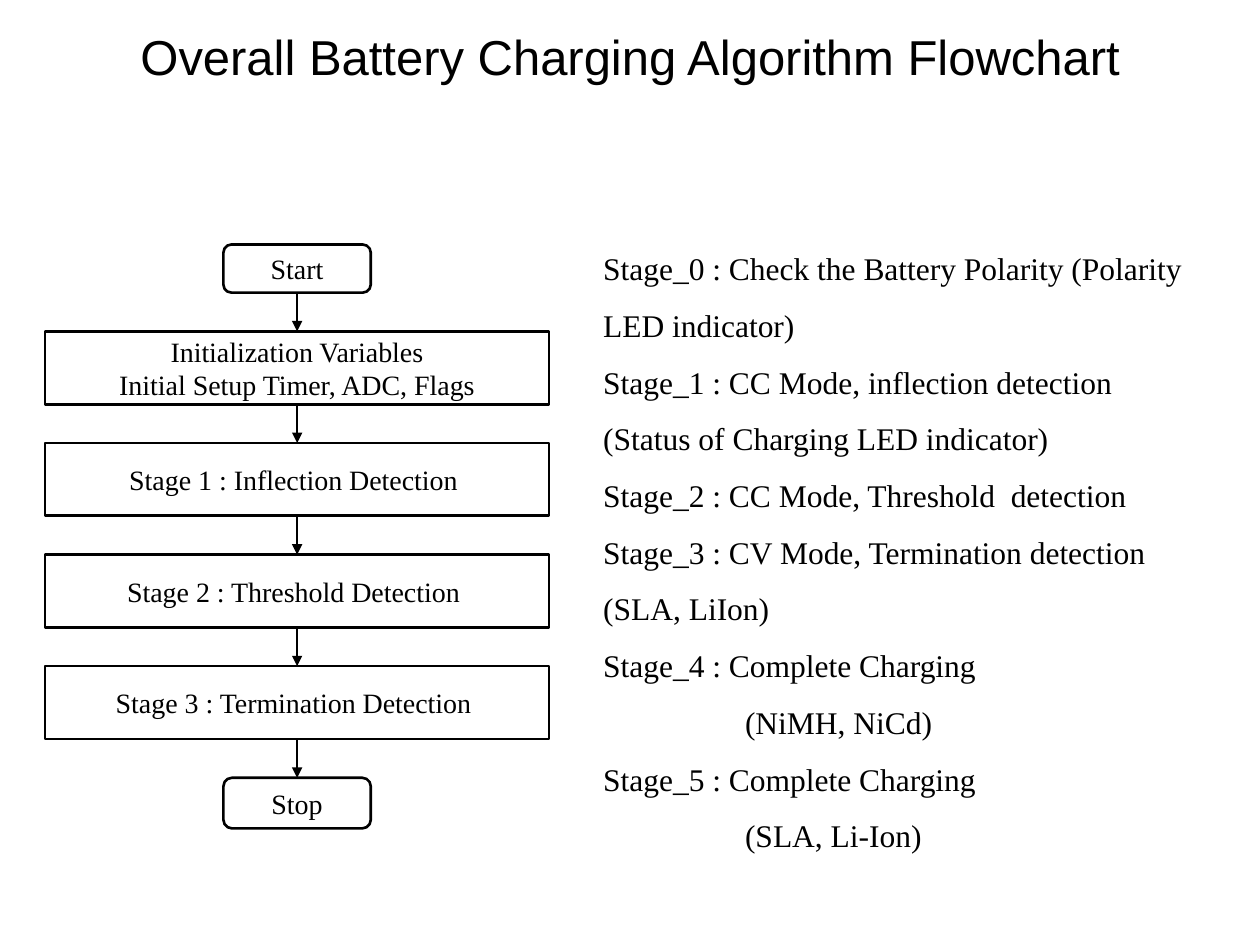
from dataclasses import dataclass
from itertools import pairwise
from typing import Any

from lxml import etree
from pptx import Presentation
from pptx import util as u
from pptx.dml import color
from pptx.enum import shapes, text
from pptx.oxml import ns


@dataclass(frozen=True)
class Theme:
    ink: color.RGBColor = color.RGBColor(0, 0, 0)
    title_font: str = "Arial"
    body_font: str = "Times New Roman"
    title_size: u.Pt = u.Pt(28)
    step_size: u.Pt = u.Pt(16)
    note_size: u.Pt = u.Pt(18)
    line_width: u.Pt = u.Pt(1.5)


@dataclass(frozen=True)
class StepStyle:
    outline: Any
    width: float


@dataclass(frozen=True)
class Step:
    label: str
    style: StepStyle
    height: float


@dataclass(frozen=True)
class Note:
    wording: str
    indent: float = 0


THEME = Theme()
TERMINAL = StepStyle(shapes.MSO_SHAPE.FLOWCHART_ALTERNATE_PROCESS, 2.97)
PROCESS = StepStyle(shapes.MSO_SHAPE.RECTANGLE, 10.16)
FLOW_CENTER = 5.99
FLOW_TOP = 4.93
FLOW_GAP = 0.78
TOP_SITE, BOTTOM_SITE = 0, 2
DETAIL_INDENT = 2.86

STEPS = [
    Step("Start", TERMINAL, 0.97),
    Step("Initialization Variables\nInitial Setup Timer, ADC, Flags", PROCESS, 1.47),
    Step("Stage 1 : Inflection Detection ", PROCESS, 1.47),
    Step("Stage 2 : Threshold Detection ", PROCESS, 1.47),
    Step("Stage 3 : Termination Detection ", PROCESS, 1.47),
    Step("Stop", TERMINAL, 1.02),
]

NOTES = [
    Note("Stage_0 : Check the Battery Polarity (Polarity LED indicator)"),
    Note("Stage_1 : CC Mode, inflection detection"),
    Note("(Status of Charging LED indicator)"),
    Note("Stage_2 : CC Mode, Threshold  detection"),
    Note("Stage_3 : CV Mode, Termination detection (SLA, LiIon)"),
    Note("Stage_4 : Complete Charging"),
    Note("(NiMH, NiCd)", DETAIL_INDENT),
    Note("Stage_5 : Complete Charging"),
    Note("(SLA, Li-Ion)", DETAIL_INDENT),
]


def set_attributes(target: Any, values: dict[str, Any]) -> None:
    for name, value in values.items():
        setattr(target, name, value)


def format_text(frame: Any, font: str, size: u.Pt, **paragraph_format: Any) -> None:
    for paragraph in frame.paragraphs:
        set_attributes(paragraph, paragraph_format)
        set_attributes(paragraph.font, {"name": font, "size": size})
        paragraph.font.color.rgb = THEME.ink


def draw_line(line: Any) -> None:
    line.color.rgb = THEME.ink
    line.width = THEME.line_width


def add_title(slide: Any, wording: str) -> None:
    title = slide.shapes.title
    set_attributes(title, {"left": 0, "top": u.Cm(0.41),
                           "width": u.Cm(25.4), "height": u.Cm(1.45)})
    frame = title.text_frame
    frame.text = wording
    set_attributes(frame, {"word_wrap": True,
                           "auto_size": text.MSO_AUTO_SIZE.NONE,
                           "vertical_anchor": text.MSO_ANCHOR.TOP})
    format_text(frame, THEME.title_font, THEME.title_size,
                alignment=text.PP_ALIGN.CENTER)


def add_step(slide: Any, step: Step, top: float) -> Any:
    left = FLOW_CENTER - step.style.width / 2
    shape = slide.shapes.add_shape(step.style.outline, u.Cm(left), u.Cm(top),
                                   u.Cm(step.style.width), u.Cm(step.height))
    shape.shadow.inherit = False
    shape.fill.background()
    draw_line(shape.line)
    frame = shape.text_frame
    frame.text = step.label
    set_attributes(frame, {"word_wrap": False,
                           "vertical_anchor": text.MSO_ANCHOR.MIDDLE})
    format_text(frame, THEME.body_font, THEME.step_size,
                alignment=text.PP_ALIGN.CENTER)
    return shape


def add_arrow(slide: Any, upper: Any, lower: Any) -> None:
    center = u.Cm(FLOW_CENTER)
    arrow = slide.shapes.add_connector(shapes.MSO_CONNECTOR.STRAIGHT,
                                       center, upper.top + upper.height,
                                       center, lower.top)
    arrow.begin_connect(upper, BOTTOM_SITE)
    arrow.end_connect(lower, TOP_SITE)
    draw_line(arrow.line)
    properties = arrow.element.spPr
    outline = properties.find(ns.qn("a:ln"))
    etree.SubElement(outline, ns.qn("a:tailEnd"), type="triangle")
    etree.SubElement(properties, ns.qn("a:effectLst"))


def add_flow(slide: Any, steps: list[Step]) -> None:
    top = FLOW_TOP
    drawn = []
    for step in steps:
        drawn.append(add_step(slide, step, top))
        top += step.height + FLOW_GAP
    for upper, lower in pairwise(drawn):
        add_arrow(slide, upper, lower)


def add_notes(slide: Any, notes: list[Note]) -> None:
    box = slide.shapes.add_textbox(u.Cm(11.91), u.Cm(4.52), u.Cm(12.7), u.Cm(12.83))
    frame = box.text_frame
    frame.word_wrap = True
    frame.text = "\n".join(note.wording for note in notes)
    for paragraph, note in zip(frame.paragraphs, notes):
        if note.indent:
            properties = paragraph._p.get_or_add_pPr()
            properties.set("marL", str(u.Cm(note.indent)))
    format_text(frame, THEME.body_font, THEME.note_size, line_spacing=1.5)


def main() -> None:
    presentation = Presentation()
    set_attributes(presentation, {"slide_width": u.Cm(25.4),
                                  "slide_height": u.Cm(19.05)})
    slide = presentation.slides.add_slide(presentation.slide_layouts[5])
    add_title(slide, "Overall Battery Charging Algorithm Flowchart")
    add_flow(slide, STEPS)
    add_notes(slide, NOTES)
    presentation.save("out.pptx")


if __name__ == "__main__":
    main()
